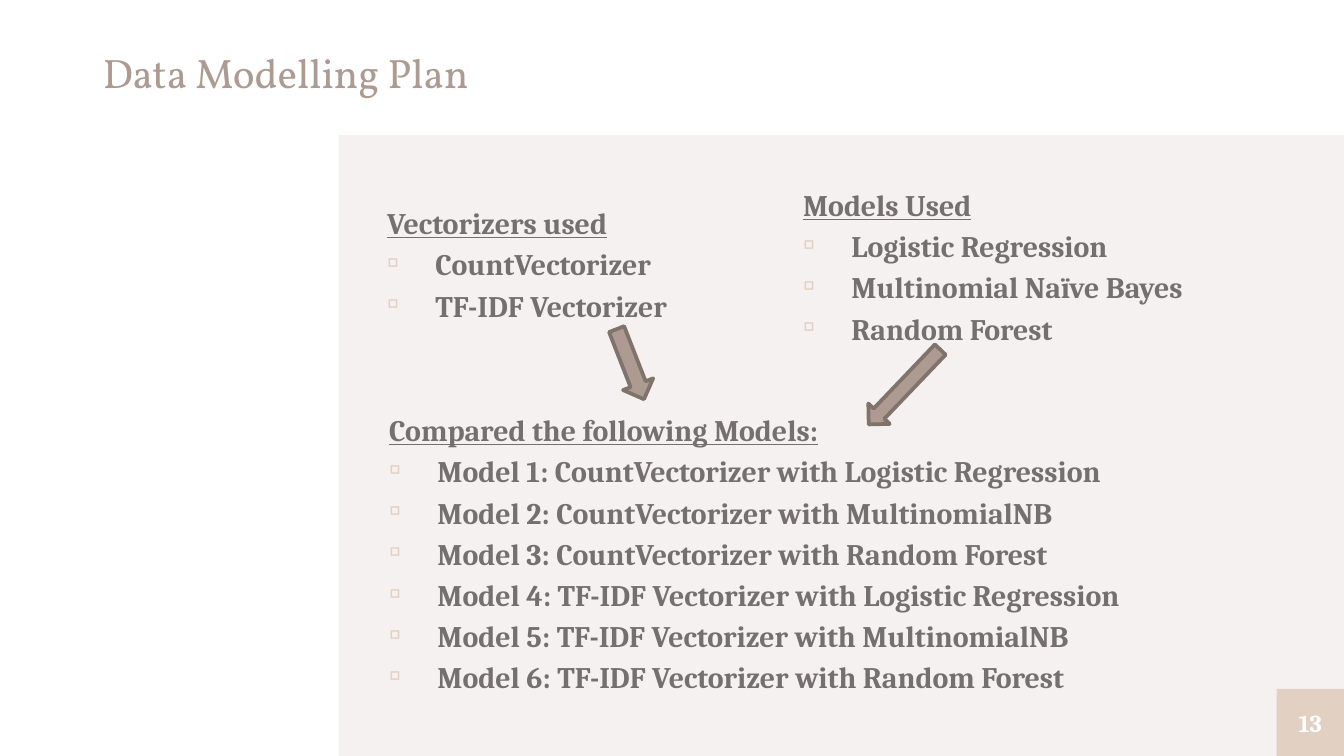
import dataclasses

import lxml.etree
import pptx
import pptx.dml.color
import pptx.enum.shapes
import pptx.enum.text
import pptx.oxml.ns
import pptx.util

PX = 4572  # EMU; 200 px to the inch
SLIDE_WIDTH, SLIDE_HEIGHT = 2000, 1125
PANEL_LEFT, PANEL_TOP = 504, 201
NUMBER_SIDE = 100
BULLET_INDENT, BULLET_HANG, HEADING_INDENT = 100, 72, 28

VECTORIZERS = ["CountVectorizer", "TF-IDF Vectorizer"]
MODELS = ["Logistic Regression", "Multinomial Naïve Bayes", "Random Forest"]
COMPARED_MODELS = ["Logistic Regression", "MultinomialNB", "Random Forest"]


@dataclasses.dataclass(frozen=True)
class Theme:
    title_font: str = "Vollkorn"
    body_font: str = "Cambria"
    bullet_font: str = "Vollkorn"
    title_size: int = 22
    body_size: int = 16
    number_size: int = 13
    outline_width: int = 2
    panel: str = "F5F1F0"
    accent: str = "AD9B91"
    outline: str = "80736B"
    sand: str = "E2D1C2"
    text: str = "756F6F"
    white: str = "FFFFFF"


THEME = Theme()


def rgb(color):
    return pptx.dml.color.RGBColor.from_string(color)


def emu(*lengths):
    return [pptx.util.Emu(length * PX) for length in lengths]


def clear_margins(frame):
    frame.margin_left = frame.margin_right = 0
    frame.margin_top = frame.margin_bottom = 0
    frame.word_wrap = True


def write(para, text, font, size, color, bold=False, underline=False):
    para.text = text
    for span in para.runs:
        span.font.name = font
        span.font.size = pptx.util.Pt(size)
        span.font.color.rgb = rgb(color)
        span.font.bold = bold
        span.font.underline = underline


def add_text_frame(page, bounds):
    box = page.shapes.add_textbox(*emu(*bounds))
    clear_margins(box.text_frame)
    return box.text_frame


def add_block(page, kind, bounds, fill):
    block = page.shapes.add_shape(kind, *emu(*bounds))
    block.shadow.inherit = False
    block.fill.solid()
    block.fill.fore_color.rgb = rgb(fill)
    block.line.fill.background()
    return block


def add_rectangle(page, bounds, fill):
    return add_block(page, pptx.enum.shapes.MSO_SHAPE.RECTANGLE, bounds, fill)


def add_title(page, text, bounds):
    para = add_text_frame(page, bounds).paragraphs[0]
    para.line_spacing = 0.9
    write(para, text, THEME.title_font, THEME.title_size, THEME.accent)


def indent(para, left, first_line=0):
    properties = para._p.get_or_add_pPr()
    properties.set("marL", str(left * PX))
    properties.set("indent", str(first_line * PX))
    return properties


def add_bullet(para):
    properties = indent(para, BULLET_INDENT, -BULLET_HANG)
    qn = pptx.oxml.ns.qn
    color = lxml.etree.SubElement(properties, qn("a:buClr"))
    lxml.etree.SubElement(color, qn("a:srgbClr"), val=THEME.sand)
    lxml.etree.SubElement(properties, qn("a:buFont"), typeface=THEME.bullet_font)
    lxml.etree.SubElement(properties, qn("a:buChar"), char="▫")


def add_list(page, heading, items, bounds):
    """Add an underlined heading with bulleted items below it."""
    frame = add_text_frame(page, bounds)
    for index, text in enumerate([heading, *items]):
        is_heading = index == 0
        para = frame.paragraphs[0] if is_heading else frame.add_paragraph()
        para.line_spacing = 1.15
        if is_heading:
            indent(para, HEADING_INDENT)
        else:
            add_bullet(para)
        write(para, text, THEME.body_font, THEME.body_size, THEME.text,
              bold=True, underline=is_heading)


def add_arrow(page, bounds, rotation):
    kind = pptx.enum.shapes.MSO_SHAPE.DOWN_ARROW
    arrow = add_block(page, kind, bounds, THEME.accent)
    arrow.line.color.rgb = rgb(THEME.outline)
    arrow.line.width = pptx.util.Pt(THEME.outline_width)
    arrow.rotation = rotation


def add_page_number(page, number, bounds):
    frame = add_rectangle(page, bounds, THEME.sand).text_frame
    clear_margins(frame)
    frame.vertical_anchor = pptx.enum.text.MSO_ANCHOR.MIDDLE
    para = frame.paragraphs[0]
    para.alignment = pptx.enum.text.PP_ALIGN.CENTER
    write(para, number, THEME.body_font, THEME.number_size, THEME.white, bold=True)


def main():
    deck = pptx.Presentation()
    deck.slide_width, deck.slide_height = emu(SLIDE_WIDTH, SLIDE_HEIGHT)
    page = deck.slides.add_slide(deck.slide_layouts[6])

    panel = (PANEL_LEFT, PANEL_TOP, SLIDE_WIDTH - PANEL_LEFT, SLIDE_HEIGHT - PANEL_TOP)
    add_rectangle(page, panel, THEME.panel)
    add_title(page, "Data Modelling Plan", (153, 79, 828, 346))

    add_list(page, "Vectorizers used", VECTORIZERS, (548, 297, 544, 256))
    add_list(page, "Models Used", MODELS, (1167, 270, 644, 282))
    add_page_number(page, "13", (SLIDE_WIDTH - NUMBER_SIDE, SLIDE_HEIGHT - NUMBER_SIDE,
                                 NUMBER_SIDE, NUMBER_SIDE))

    pairs = [f"{vectorizer} with {model}"
             for vectorizer in VECTORIZERS for model in COMPARED_MODELS]
    comparisons = [f"Model {number}: {pair}" for number, pair in enumerate(pairs, 1)]
    add_list(page, "Compared the following Models:", comparisons, (551, 605, 1508, 500))

    add_arrow(page, (914, 486, 48, 112), 338.7)
    add_arrow(page, (1324, 499, 44, 154), 43.7)

    deck.save("out.pptx")


if __name__ == "__main__":
    main()
